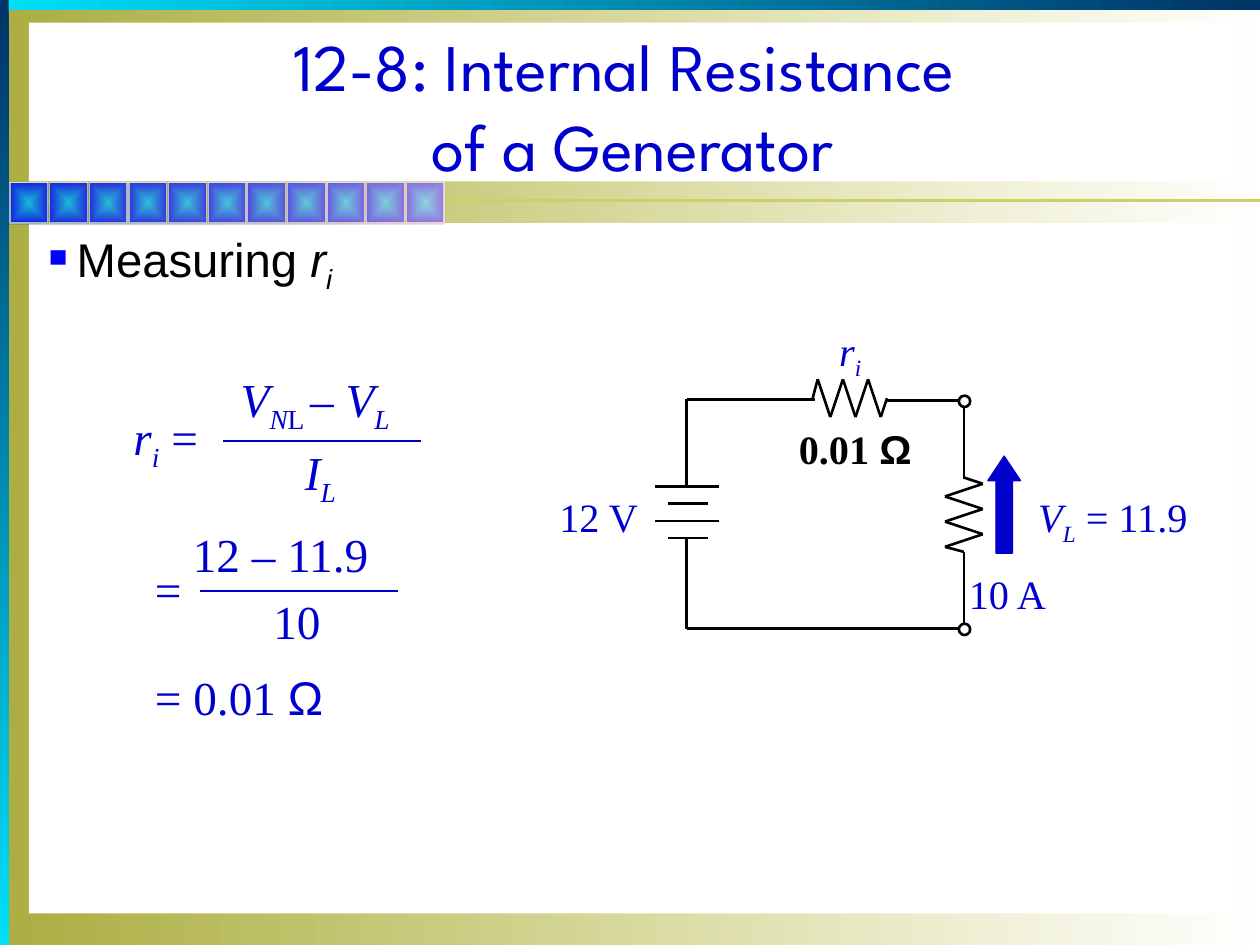
from dataclasses import dataclass
from itertools import pairwise

from lxml import etree
from pptx import Presentation
from pptx import util as u
from pptx.dml.color import RGBColor
from pptx.enum import shapes, text
from pptx.oxml import parse_xml
from pptx.oxml.ns import nsdecls, qn

WIDTH, HEIGHT = u.Inches(10), u.Inches(7.5)
COLUMNS, ROWS = 100, 75
CELL = WIDTH // COLUMNS

WHITE = RGBColor(0xFF, 0xFF, 0xFF)
BLACK = RGBColor(0x00, 0x00, 0x00)
BLUE = RGBColor(0x00, 0x00, 0xCC)
BRIGHT = RGBColor(0x00, 0x00, 0xFF)
NAVY = RGBColor(0x00, 0x33, 0x66)
CYAN = RGBColor(0x00, 0xE0, 0xF8)
OLIVE = RGBColor(0xA6, 0xA9, 0x35)
PALE_OLIVE = RGBColor(0xD7, 0xD9, 0x85)
RULE = RGBColor(0xCD, 0xD0, 0x66)
SILVER = RGBColor(0xDD, 0xDD, 0xDD)
STEEL = RGBColor(0x33, 0x66, 0x99)
PINK = RGBColor(0xFF, 0xCC, 0xCC)

SERIF, SANS, DISPLAY = "Times New Roman", "Arial", "League Spartan"


@dataclass
class Box:
    left: float
    top: float
    width: float
    height: float

    def area(self, x, y, width, height):
        return Box(self.left + x, self.top + y, width, height)

    def lengths(self):
        return [round(n * CELL) for n in (self.left, self.top, self.width, self.height)]


def add_block(page, box, fill=None, line=None, kind=shapes.MSO_SHAPE.RECTANGLE, weight=0.75):
    block = page.shapes.add_shape(kind, *box.lengths())
    block.shadow.inherit = False
    if fill is None:
        block.fill.background()
    else:
        block.fill.solid()
        block.fill.fore_color.rgb = fill
    if line is None:
        block.line.fill.background()
    else:
        block.line.color.rgb = line
        block.line.width = u.Pt(weight)
    return block


def add_gradient(page, box, start, end, opacity=(100, 100), angle=None, line=None):
    block = add_block(page, box, line=line)
    stops = "".join(
        f'<a:gs pos="{place}"><a:srgbClr val="{colour}"><a:alpha val="{share * 1000}"/></a:srgbClr></a:gs>'
        for place, colour, share in zip((0, 100000), (start, end), opacity))
    if angle is None:
        course = '<a:path path="rect"><a:fillToRect l="50000" t="50000" r="50000" b="50000"/></a:path>'
    else:
        course = f'<a:lin ang="{angle * 60000}" scaled="0"/>'
    gradient = parse_xml(f'<a:gradFill {nsdecls("a")}><a:gsLst>{stops}</a:gsLst>{course}</a:gradFill>')
    empty = block.element.spPr.find(qn("a:noFill"))
    empty.getparent().replace(empty, gradient)


def add_wire(page, box, *points, colour=BLACK):
    for (x1, y1), (x2, y2) in pairwise(points):
        ends = [round(n * CELL) for n in (box.left + x1, box.top + y1, box.left + x2, box.top + y2)]
        wire = page.shapes.add_connector(shapes.MSO_CONNECTOR.STRAIGHT, *ends)
        wire.line.color.rgb = colour
        wire.line.width = u.Pt(1.5)
        etree.SubElement(wire.element.spPr, qn("a:effectLst"))


def write_spans(para, spans, size, colour, name):
    para.font.size, para.font.color.rgb, para.font.name = u.Pt(size), colour, name
    for words, style in spans:
        span = para.add_run()
        span.text = words
        if "i" in style:
            span.font.italic = True
        if "b" in style:
            span.font.bold = True
        if "a" in style:
            span.font.name = SANS
        if "s" in style:
            span.font._element.set("baseline", "-25000")


def add_label(page, box, *spans, size=23, colour=BLUE):
    frame = page.shapes.add_textbox(*box.lengths()).text_frame
    frame.word_wrap = False
    frame.margin_left = frame.margin_right = u.Inches(0.11)
    frame.margin_top = frame.margin_bottom = u.Inches(0.06)
    write_spans(frame.paragraphs[0], spans, size, colour, SERIF)


def draw_backdrop(page, box):
    for _ in range(2):
        add_gradient(page, box, OLIVE, PALE_OLIVE, (73, 0), angle=0)
    add_block(page, box.area(2.3, 17.7, 95.5, 54.8), WHITE)
    add_gradient(page, box.area(0, 0, box.width, 0.8), CYAN, NAVY, angle=0)
    add_wire(page, box, (0, 15.9), (box.width, 15.9), colour=RULE)
    tiles = 11
    strip = box.area(0.8, 14.5, 34.6, 3.2)
    pitch = strip.width / tiles
    for tile in range(tiles):
        add_gradient(page, strip.area(tile * pitch, 0, 3, strip.height), CYAN, BRIGHT, line=SILVER)
    add_gradient(page, box.area(0.1, 14.6, 35.1, 3.2), STEEL, PINK, (32, 59), angle=0)
    add_gradient(page, box.area(0, 0, 0.7, box.height), NAVY, CYAN, angle=90)
    add_block(page, box.area(2.3, 1.8, 95.5, 12.6), WHITE)


def place_title(page, box):
    title = page.shapes.title
    title.left, title.top, title.width, title.height = box.lengths()
    page.shapes._spTree.append(title.element)
    frame = title.text_frame
    frame.auto_size = text.MSO_AUTO_SIZE.NONE
    frame.vertical_anchor = text.MSO_ANCHOR.MIDDLE
    frame.text = "12-8: Internal Resistance \vof a Generator"
    para = frame.paragraphs[0]
    para.alignment = text.PP_ALIGN.CENTER
    para.font.size, para.font.color.rgb, para.font.name = u.Pt(38), BLUE, DISPLAY


def place_topic(page, box):
    frame = page.shapes.add_textbox(*box.lengths()).text_frame
    frame.word_wrap = True
    para = frame.paragraphs[0]
    settings = para._p.get_or_add_pPr()
    settings.set("marL", str(u.Inches(0.28)))
    settings.set("indent", str(-u.Inches(0.28)))
    for bullet in (f'<a:buClr {nsdecls("a")}><a:srgbClr val="{BRIGHT}"/></a:buClr>',
                   f'<a:buSzPct {nsdecls("a")} val="95000"/>',
                   f'<a:buChar {nsdecls("a")} char="▪"/>'):
        settings.append(parse_xml(bullet))
    write_spans(para, [("Measuring ", ""), ("r", "i"), ("i", "is")], 27, BLACK, SANS)


def draw_circuit(page, box):
    left, right, top, bottom = 11.5, 33.5, 6.7, 24.9
    add_label(page, box.area(22.5, 0.3, 4, 5.5), ("r", "i"), ("i", "is"))
    for plate, (start, end) in enumerate([(9, 14.1), (10, 13.2)] * 2):
        height = 13.6 + plate * 1.37
        add_wire(page, box, (start, height), (end, height))
    add_label(page, box.area(0.3, 13.5, 8.6, 5), ("12 V", ""))

    inner = [(21.9 + step, (5.1, 8.1)[step % 2]) for step in range(6)]
    add_wire(page, box, (21.5, 6.6), *inner, (27.4, 6.6))
    load = [((35, 32)[step % 2], 13.4 + step) for step in range(6)]
    add_wire(page, box, (right, 12.9), *load, (right, 18.8))

    add_wire(page, box, (left, 13.6), (left, top), (21.7, top))
    add_wire(page, box, (27.3, 6.8), (33.1, 6.8))
    add_wire(page, box, (left, 17.8), (left, bottom), (33.1, bottom))
    add_wire(page, box, (right, 7), (right, 13))
    add_wire(page, box, (right, 18.8), (right, 24.8))
    add_label(page, box.area(19.3, 8.1, 11.7, 5), ("0.01 ", "b"), ("Ω", "ba"), colour=BLACK)

    arrow = add_block(page, box.area(35.4, 11.2, 2.6, 7.7), BLUE, BLUE, shapes.MSO_SHAPE.UP_ARROW)
    arrow.adjustments[0], arrow.adjustments[1] = 0.5, 0.75
    add_label(page, box.area(32.8, 19.6, 8.6, 5), ("10 A", ""))
    add_label(page, box.area(38.3, 13.5, 14.3, 5.5), ("V", "i"), ("L", "is"), (" = 11.9", ""))
    for height in (6.8, bottom):
        add_block(page, box.area(33.1, height - 0.4, 0.9, 0.9), WHITE, BLACK,
                  shapes.MSO_SHAPE.OVAL, weight=1.5)


def write_solution(page, box):
    steps = [
        ((0, 3.8, 8.3, 6.3), ("r", "i"), ("i", "is"), (" =", "")),
        ((8.5, 0.8, 14.2, 6.3), ("V", "i"), ("N", "is"), ("L ", "s"), ("– ", ""), ("V", "i"), ("L", "is")),
        ((13.6, 6.6, 4.7, 6.3), ("I", "i"), ("L", "is")),
        ((4.7, 13.1, 16.5, 6.3), ("12 – 11.9", "")),
        ((11.1, 18.4, 6, 5.6), ("10", "")),
        ((1.7, 15.9, 4.4, 5.6), ("=", "")),
        ((1.7, 24.4, 15.7, 5.6), ("= 0.01 ", ""), ("Ω", "a")),
    ]
    for place, *spans in steps:
        add_label(page, box.area(*place), *spans, size=27)
    for x, y in ((8.2, 7), (6.4, 18.9)):
        add_wire(page, box, (x, y), (x + 15.7, y), colour=BLUE)


def main():
    deck = Presentation()
    deck.slide_width, deck.slide_height = WIDTH, HEIGHT
    page = deck.slides.add_slide(deck.slide_layouts[5])
    whole = Box(0, 0, COLUMNS, ROWS)
    draw_backdrop(page, whole)
    place_title(page, whole.area(2.9, 2.2, 94.6, 12.3))
    place_topic(page, whole.area(2.3, 17.8, 95.5, 54.4))
    draw_circuit(page, whole.area(43, 25, 53, 26))
    write_solution(page, whole.area(9.5, 28, 24, 30))
    deck.save("out.pptx")


if __name__ == "__main__":
    main()
